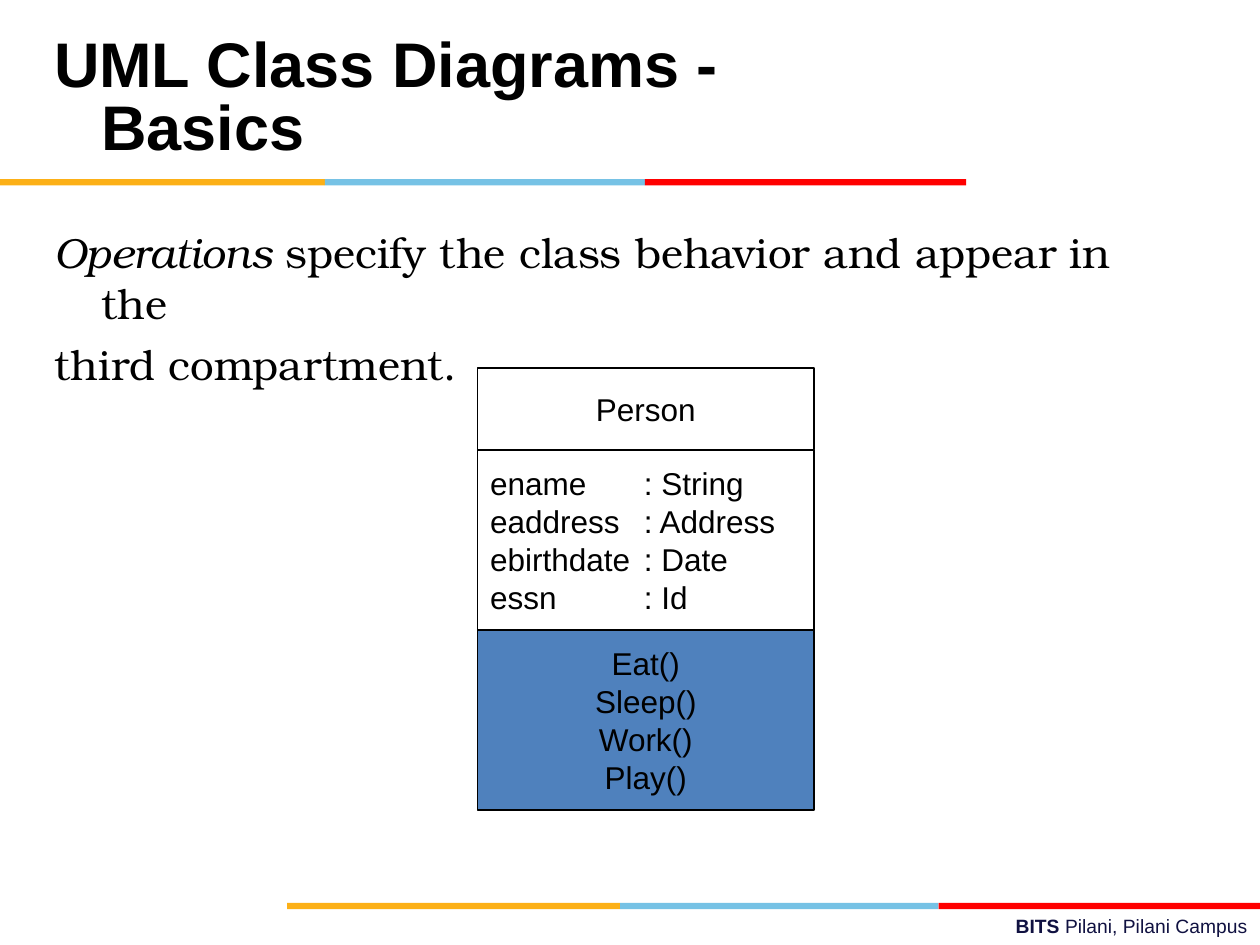
from dataclasses import dataclass
from itertools import pairwise

from lxml import etree
from pptx import Presentation
from pptx.dml.color import RGBColor
from pptx.enum.shapes import MSO_SHAPE
from pptx.enum.text import MSO_ANCHOR, PP_ALIGN
from pptx.oxml.ns import qn
from pptx.util import Cm, Pt

RECT = MSO_SHAPE.RECTANGLE
LEFT, CENTER, RIGHT = PP_ALIGN.LEFT, PP_ALIGN.CENTER, PP_ALIGN.RIGHT
MIDDLE, TOP = MSO_ANCHOR.MIDDLE, MSO_ANCHOR.TOP


@dataclass(frozen=True)
class Theme:
    sans: str = "Arial"
    serif: str = "TeX Gyre Bonum"
    black: str = "000000"
    white: str = "FFFFFF"
    navy: str = "101141"
    blue: str = "4F81BD"
    stripes: tuple[str, ...] = ("FCB017", "76C2E5", "FF0000")
    title: int = 36
    body: int = 24
    label: int = 18
    footer: int = 11


@dataclass(frozen=True)
class Stripe:
    top: float
    edges: tuple[float, ...]


@dataclass(frozen=True)
class Compartment:
    height: float
    fill: str
    align: PP_ALIGN
    lines: tuple[str, ...]


THEME = Theme()
STRIPE_HEIGHT = 0.13
STRIPES = (
    Stripe(3.61, (0, 6.55, 13, 19.48)),
    Stripe(18.2, (5.79, 12.5, 18.92, 25.4)),
)
CLASS_LEFT, CLASS_TOP, CLASS_WIDTH = 9.63, 7.42, 6.78
TYPE_TAB = 3.1
PERSON = (
    Compartment(1.65, THEME.white, CENTER, ("Person",)),
    Compartment(3.63, THEME.white, LEFT, (
        "ename\t: String", "eaddress\t: Address", "ebirthdate\t: Date", "essn\t: Id")),
    Compartment(3.63, THEME.blue, CENTER, ("Eat()", "Sleep()", "Work()", "Play()")),
)


def set_font(p, name: str, size: int, color: str) -> None:
    p.font.name = name
    p.font.size = Pt(size)
    p.font.color.rgb = RGBColor.from_string(color)


def add_rect(s, x: float, y: float, w: float, h: float, fill: str):
    sp = s.shapes.add_shape(RECT, Cm(x), Cm(y), Cm(w), Cm(h))
    sp.shadow.inherit = False
    sp.fill.solid()
    sp.fill.fore_color.rgb = RGBColor.from_string(fill)
    sp.line.fill.background()
    return sp


def add_text(s, x: float, y: float, w: float, h: float, anchor: MSO_ANCHOR = TOP):
    tf = s.shapes.add_textbox(Cm(x), Cm(y), Cm(w), Cm(h)).text_frame
    tf.word_wrap = True
    tf.vertical_anchor = anchor
    return tf


def hang(p, indent: float) -> None:
    pPr = p._p.get_or_add_pPr()
    pPr.set("marL", str(Cm(indent)))
    pPr.set("indent", str(-Cm(indent)))


def add_tab(p, position: float) -> None:
    tabs = etree.SubElement(p._p.get_or_add_pPr(), qn("a:tabLst"))
    etree.SubElement(tabs, qn("a:tab"), pos=str(Cm(position)), algn="l")


def draw_stripe(s, stripe: Stripe) -> None:
    for (x, end), color in zip(pairwise(stripe.edges), THEME.stripes):
        add_rect(s, x, stripe.top, end - x, STRIPE_HEIGHT, color)


def draw_compartment(s, y: float, part: Compartment) -> None:
    sp = add_rect(s, CLASS_LEFT, y, CLASS_WIDTH, part.height, part.fill)
    sp.line.color.rgb = RGBColor.from_string(THEME.black)
    sp.line.width = Pt(0.75)
    tf = sp.text_frame
    tf.word_wrap = True
    tf.vertical_anchor = MIDDLE
    for i, line in enumerate(part.lines):
        p = tf.add_paragraph() if i else tf.paragraphs[0]
        p.text = line
        p.alignment = part.align
        if "\t" in line:
            add_tab(p, TYPE_TAB)
        set_font(p, THEME.sans, THEME.label, THEME.black)


def draw_class(s) -> None:
    y = CLASS_TOP
    for part in PERSON:
        draw_compartment(s, y, part)
        y += part.height


def draw_title(s) -> None:
    p = add_text(s, 0.84, 0.43, 17.58, 3.18, MIDDLE).paragraphs[0]
    p.text = "UML Class Diagrams - Basics"
    p.line_spacing = Pt(36)
    hang(p, 0.95)
    set_font(p, THEME.sans, THEME.title, THEME.black)
    p.font.bold = True


def draw_body(s) -> None:
    tf = add_text(s, 0.84, 4.45, 22.86, 12.57)
    p = tf.paragraphs[0]
    r = p.add_run()
    r.text = "Operations "
    r.font.italic = True
    p.add_run().text = "specify the class behavior and appear in the"
    last = tf.add_paragraph()
    last.text = "third compartment."
    last.space_before = Pt(6)
    for p in tf.paragraphs:
        hang(p, 0.95)
        set_font(p, THEME.serif, THEME.body, THEME.black)


def draw_footer(s) -> None:
    p = add_text(s, 9.09, 18.31, 16.31, 0.74).paragraphs[0]
    p.alignment = RIGHT
    r = p.add_run()
    r.text = "BITS "
    r.font.bold = True
    p.add_run().text = "Pilani, Pilani Campus"
    set_font(p, THEME.sans, THEME.footer, THEME.navy)


def main() -> None:
    prs = Presentation()
    prs.slide_width, prs.slide_height = Cm(25.4), Cm(19.05)
    s = prs.slides.add_slide(prs.slide_layouts[6])
    draw_footer(s)
    for stripe in STRIPES:
        draw_stripe(s, stripe)
    draw_body(s)
    draw_title(s)
    draw_class(s)
    prs.save("out.pptx")


if __name__ == "__main__":
    main()
